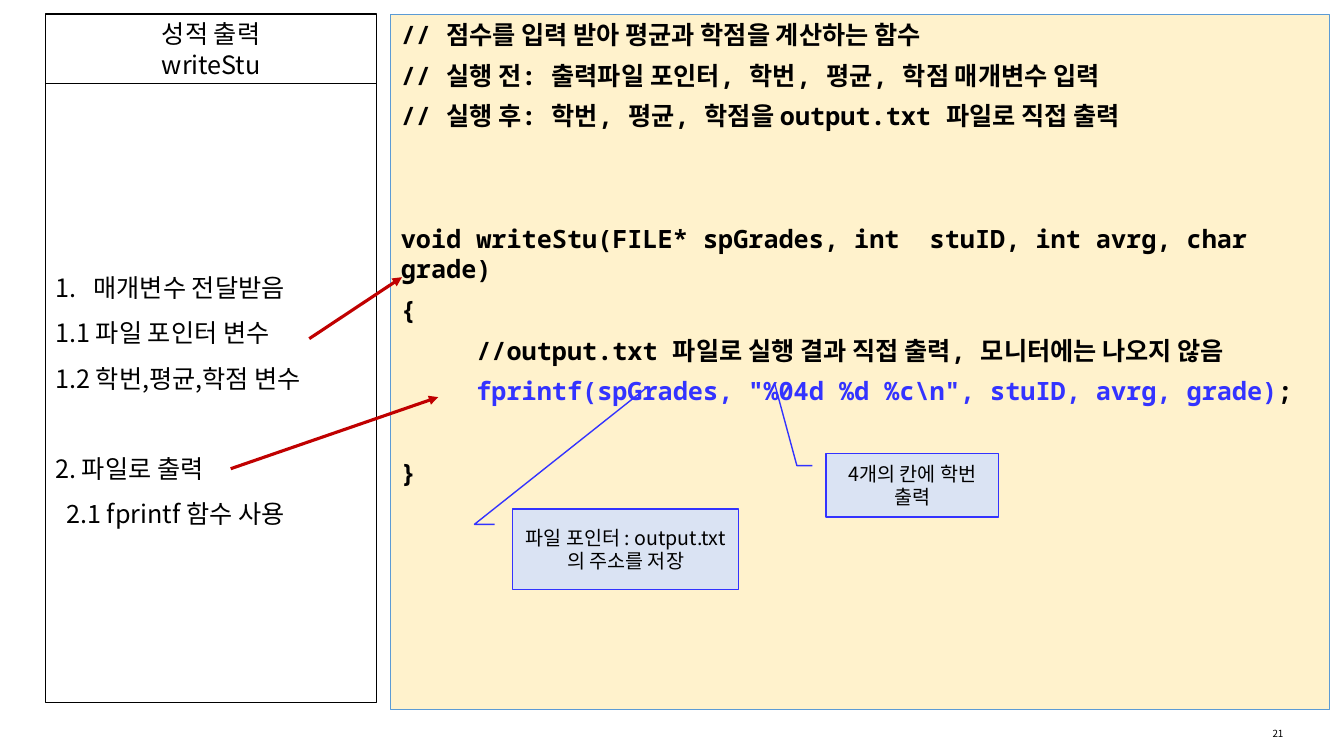
"""Builds the slide that explains the writeStu grade output function."""
from lxml import etree
from pptx import Presentation
from pptx.dml.color import RGBColor
from pptx.enum.shapes import MSO_CONNECTOR, MSO_SHAPE
from pptx.enum.text import MSO_ANCHOR, PP_ALIGN
from pptx.oxml.ns import qn
from pptx.util import Inches, Pt

RECTANGLE = MSO_SHAPE.RECTANGLE
CALLOUT = MSO_SHAPE.LINE_CALLOUT_2
STRAIGHT = MSO_CONNECTOR.STRAIGHT
TOP, MIDDLE = MSO_ANCHOR.TOP, MSO_ANCHOR.MIDDLE
LEFT, CENTER = PP_ALIGN.LEFT, PP_ALIGN.CENTER

BLACK = RGBColor(0x00, 0x00, 0x00)
BLUE = RGBColor(0x33, 0x33, 0xFF)
RED = RGBColor(0xC0, 0x00, 0x00)
CREAM = RGBColor(0xFF, 0xF2, 0xCC)
PALE_BLUE = RGBColor(0xDA, 0xE3, 0xF3)
PANEL_EDGE = RGBColor(0x5B, 0x9B, 0xD5)

SANS = "Noto Sans CJK KR"
MONO = "Noto Sans Mono"
COLUMNS, ROWS = 133.4, 75

CODE_LINES = [
    ("// 점수를 입력 받아 평균과 학점을 계산하는 함수", 0),
    ("// 실행 전: 출력파일 포인터, 학번, 평균, 학점 매개변수 입력", 7.5),
    ("// 실행 후: 학번, 평균, 학점을 output.txt 파일로 직접 출력", 7.5),
    ("void writeStu(FILE* spGrades, int  stuID, int avrg, char grade)", 66),
    ("{", 7.5),
    ("     //output.txt 파일로 실행 결과 직접 출력, 모니터에는 나오지 않음", 7.5),
    ('     |fprintf(spGrades, "%04d %d %c\\n", stuID, avrg, grade)|;', 7.5),
    ("}", 37),
]
STEPS = [
    ("매개변수 전달받음", 0, 0.38),
    ("1.1 파일 포인터 변수", 0, 0.38),
    ("1.2 학번,평균,학점 변수", 0, 0.38),
    ("2. 파일로 출력", 32, 0.38),
    ("2.1 fprintf 함수 사용", 0, 0.49),
]
ARROWS = [((30.7, 33.6), (39.9, 27.5)), ((22.9, 46.5), (43.5, 39.4))]
CALLOUTS = [
    ((82, 45, 17.1, 6.3), "4개의 칸에 학번 출력", (-1.11, -0.3)),
    ((50.9, 50.5, 22.4, 8), "파일 포인터 : output.txt 의 주소를 저장", (-1.52, 0.6)),
]


class GridSlide:
    """Holds the slide, its grid and the shared style."""

    def __init__(self, presentation):
        self.slide = presentation.slides.add_slide(presentation.slide_layouts[6])
        self.column = presentation.slide_width / COLUMNS
        self.row = presentation.slide_height / ROWS

    def cells(self, *lengths):
        units = (self.column, self.row)
        return [round(length * units[index % 2]) for index, length in enumerate(lengths)]

    def box(self, place, kind=RECTANGLE, fill=None, edge=BLACK, weight=1):
        shape = self.slide.shapes.add_shape(kind, *self.cells(*place))
        shape.shadow.inherit = False
        if fill is None:
            shape.fill.background()
        else:
            shape.fill.solid()
            shape.fill.fore_color.rgb = fill
        shape.line.color.rgb = edge
        shape.line.width = Pt(weight)
        return shape

    def label(self, shape, lines, size=18, font=SANS, bold=False, align=CENTER, anchor=MIDDLE):
        text_frame = shape.text_frame
        text_frame.word_wrap = True
        text_frame.vertical_anchor = anchor
        text_frame.text = "\n".join(lines)
        for paragraph in text_frame.paragraphs:
            paragraph.alignment = align
            for run in paragraph.runs:
                self.style(run, size, font, bold)
        return text_frame.paragraphs

    def style(self, run, size, font, bold, color=BLACK):
        run.font.size = Pt(size)
        run.font.name = font
        run.font.bold = bold
        run.font.color.rgb = color
        east_asian = etree.SubElement(run.font._element, qn("a:ea"))
        east_asian.set("typeface", SANS)

    def code(self, place, lines):
        shape = self.box(place, fill=CREAM, edge=PANEL_EDGE, weight=0.75)
        texts = [text.split("|") for text, _ in lines]
        paragraphs = self.label(shape, [parts[0] for parts in texts], 18, MONO, True, LEFT, TOP)
        for paragraph, parts, (_, space) in zip(paragraphs, texts, lines):
            paragraph.space_before = Pt(space)
            for part, color in zip(parts[1:], (BLUE, BLACK)):
                run = paragraph.add_run()
                run.text = part
                self.style(run, 18, MONO, True, color)

    def steps(self, place, steps):
        paragraphs = self.label(self.box(place), [step[0] for step in steps], align=LEFT)
        for paragraph, (_, space, margin) in zip(paragraphs, steps):
            paragraph.line_spacing = 1.5
            paragraph.space_before = Pt(space)
            properties = paragraph._p.get_or_add_pPr()
            properties.set("marL", str(Inches(margin)))
            properties.set("indent", str(-Inches(0.38)))
        number = etree.SubElement(paragraphs[0]._p.get_or_add_pPr(), qn("a:buAutoNum"))
        number.set("type", "arabicPeriod")

    def arrow(self, start, end):
        connector = self.slide.shapes.add_connector(STRAIGHT, *self.cells(*start, *end))
        connector.line.color.rgb = RED
        connector.line.width = Pt(2.25)
        properties = connector._element.spPr
        etree.SubElement(properties.get_or_add_ln(), qn("a:tailEnd")).set("type", "triangle")
        etree.SubElement(properties, qn("a:effectLst"))

    def callout(self, place, text, target):
        shape = self.box(place, CALLOUT, PALE_BLUE, BLUE)
        for index, value in enumerate((0.19, -0.08, 0.19, -0.17, *target)):
            shape.adjustments[index] = value
        self.label(shape, [text], 14)

    def page_number(self, place, text):
        self.label(self.slide.shapes.add_textbox(*self.cells(*place)), [text], 7)


def main():
    presentation = Presentation()
    presentation.slide_width = Inches(13.34)
    presentation.slide_height = Inches(7.5)
    page = GridSlide(presentation)
    page.code((38.8, 1.4, 93.2, 69), CODE_LINES)
    page.label(page.box((4.5, 1.4, 32.9, 6.9)), ["성적 출력", "writeStu"])
    page.steps((4.5, 8.3, 32.9, 61.4), STEPS)
    for start, end in ARROWS:
        page.arrow(start, end)
    for place, text, target in CALLOUTS:
        page.callout(place, text, target)
    page.page_number((121.8, 71.5, 10.1, 2.5), "21")
    presentation.save("out.pptx")


if __name__ == "__main__":
    main()
